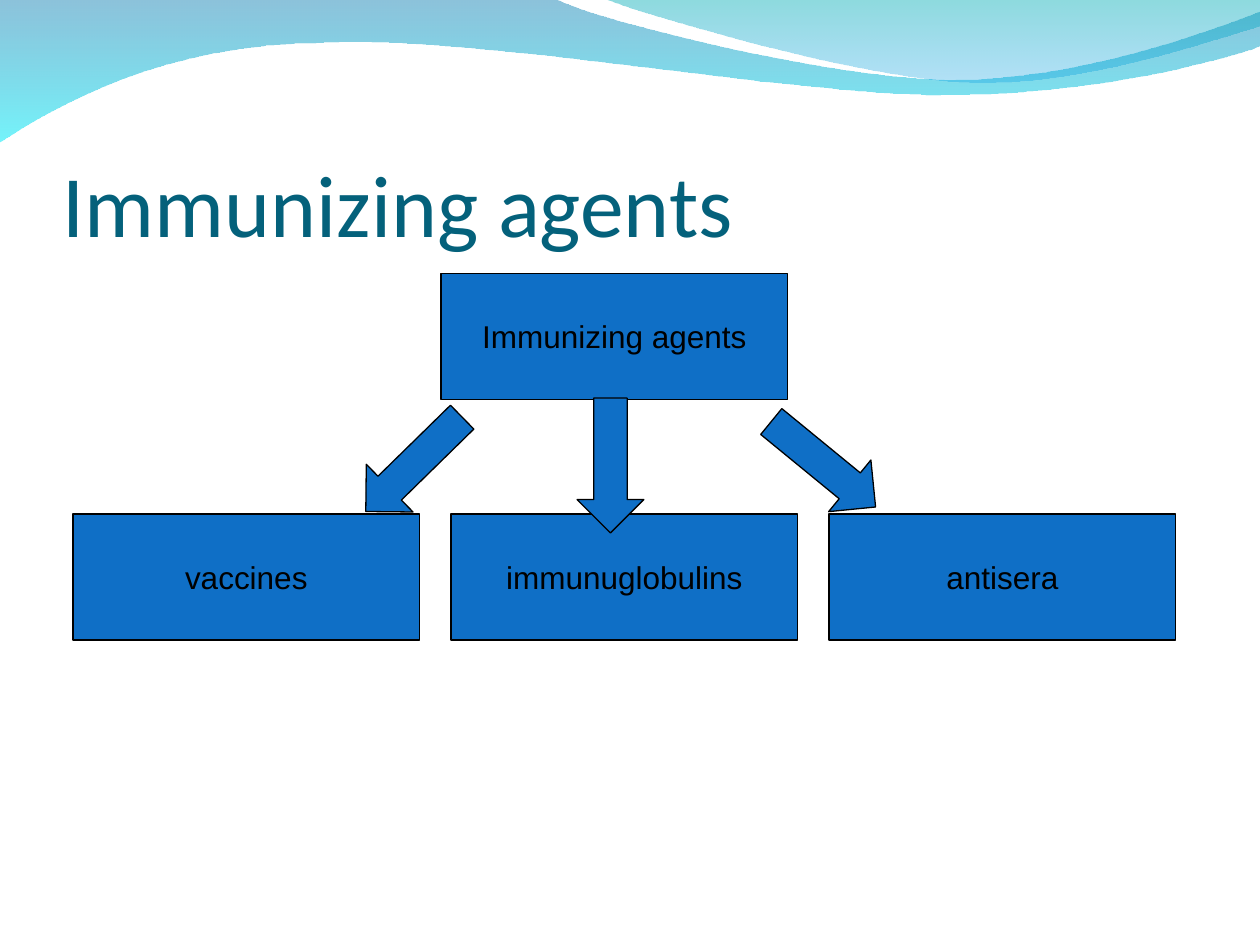
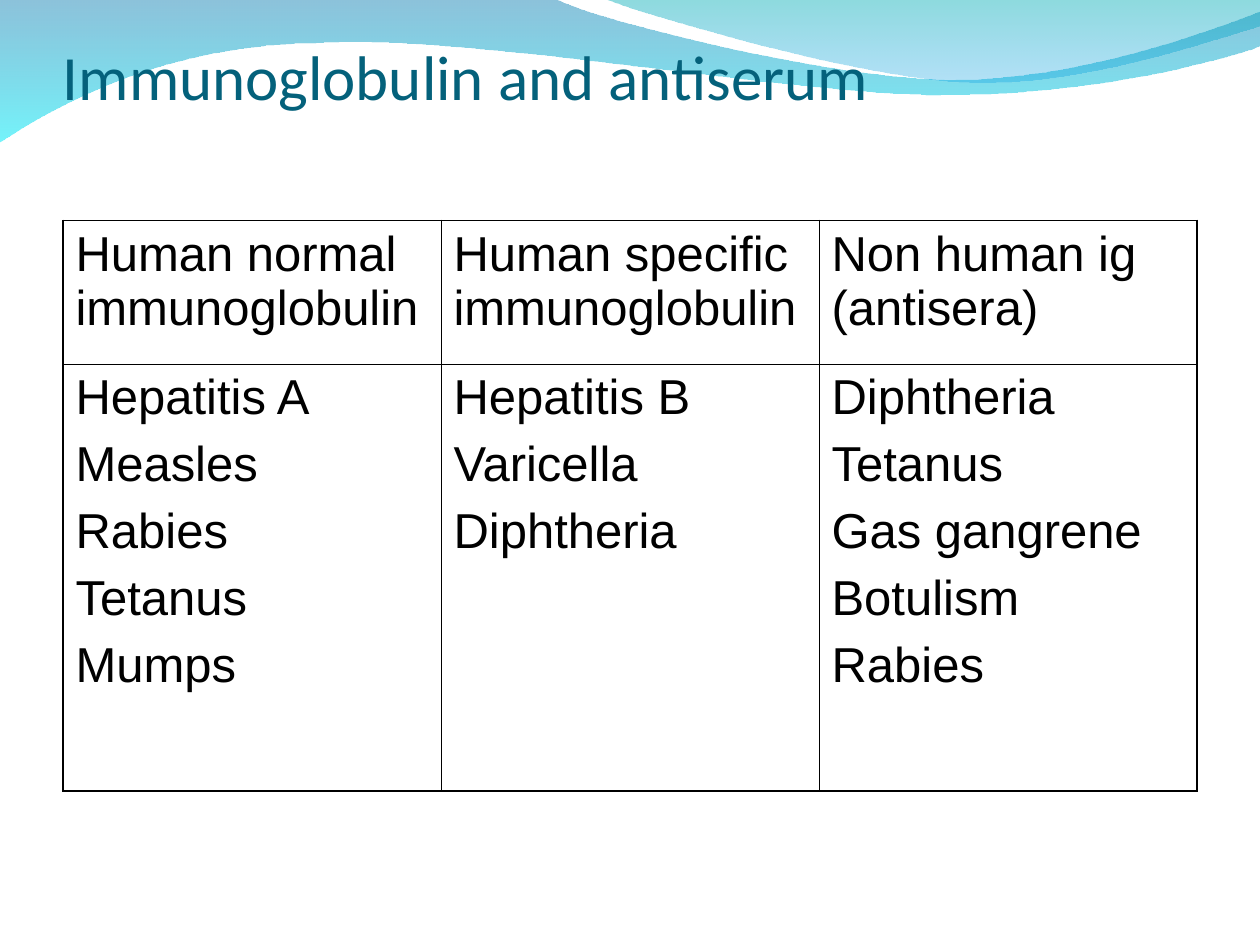
from pptx import Presentation
from pptx import util as u
from pptx.dml import color as dc
from pptx.enum import shapes, text
from pptx.oxml import ns, parse_xml

INK, TEAL, BLUE = "000000", "04617B", "0F6FC6"

# Each wave: start, then segments (2 numbers: line, 6: curve), then stops (colour, opacity)
# Points are in hundredths of an inch
WAVES = [
    ((0, -1),
     [(440, -1), (476, 17, 664, 63, 758, 63), (853, 63, 958, 26, 1000, 9),
      (1001, 36), (983, 44, 870, 76, 746, 75), (622, 75, 382, 28, 257, 34),
      (129, 35, 46, 83, -1, 113)],
     [("0079AF", 45), ("00EBF8", 55)]),
    ((479, -1),
     [(509, 11, 682, 62, 769, 65), (856, 69, 961, 32, 1000, 21), (1000, 0)],
     [("00ADB6", 45), ("009BE5", 30)]),
]


def rgb(code):
    return dc.RGBColor.from_string(code)


def style(par, name, size, code):
    par.font.name, par.font.size = name, u.Pt(size)
    par.font.color.rgb = rgb(code)


prs = Presentation()
prs.slide_width, prs.slide_height = u.Inches(10), u.Inches(7.5)

# Shared waves and titles
heads = [
    ("Immunizing agents", 0.77, 50, text.MSO_ANCHOR.BOTTOM),
    ("Immunoglobulin and antiserum", 0.25, 36, text.MSO_ANCHOR.TOP),
]
pages = []
for title, top, size, anchor in heads:
    page = prs.slides.add_slide(prs.slide_layouts[6])
    pages.append(page)
    for start, parts, stops in WAVES:
        form = page.shapes.build_freeform(*start, scale=u.Inches(0.01))
        for part in parts:
            form.add_line_segments(list(zip(part[::2], part[1::2])), close=False)
        form.add_line_segments([], close=True)
        wave = form.convert_to_shape()

        # Join the three points of each curve into one bezier
        lines = iter(list(wave.element.iter(ns.qn("a:lnTo"))))
        for part in parts:
            first = next(lines)
            if len(part) == 6:
                curve = parse_xml(f'<a:cubicBezTo {ns.nsdecls("a")}/>')
                first.addprevious(curve)
                for line in (first, next(lines), next(lines)):
                    curve.append(line[0])
                    line.getparent().remove(line)

        wave.shadow.inherit = False
        wave.line.fill.background()
        wave.fill.gradient()
        wave.fill.gradient_angle = 270
        for stop, (code, _) in zip(wave.fill.gradient_stops, stops):
            stop.color.rgb = rgb(code)
        for tint, (_, alpha) in zip(wave.element.iter(ns.qn("a:srgbClr")), stops):
            tint.append(parse_xml(f'<a:alpha {ns.nsdecls("a")} val="{alpha * 1000}"/>'))

    box = page.shapes.add_textbox(u.Inches(0.5), u.Inches(top), u.Inches(9), u.Inches(1.25))
    frame = box.text_frame
    frame.word_wrap = True
    frame.vertical_anchor = anchor
    frame.margin_left = frame.margin_right = frame.margin_bottom = 0
    frame.margin_top = u.Inches(0.05)
    frame.text = title
    style(frame.paragraphs[0], "Calibri", size, TEAL)

# Slide 1: tree of agents, boxes then arrows
chart, sheet = pages
rect, arrow = shapes.MSO_SHAPE.RECTANGLE, shapes.MSO_SHAPE.RIGHT_ARROW
nodes = [
    (rect, 3.5, 2.17, 2.75, 1, 0, "Immunizing agents"),
    (rect, 6.58, 4.08, 2.75, 1, 0, "antisera"),
    (rect, 3.58, 4.08, 2.75, 1, 0, "immunuglobulins"),
    (rect, 0.58, 4.08, 2.75, 1, 0, "vaccines"),
    (arrow, 4.31, 3.43, 1.07, 0.53, 90, ""),
    (arrow, 6, 3.42, 1.07, 0.53, 39.3, ""),
    (arrow, 2.75, 3.42, 1.07, 0.53, 135.6, ""),
]
for kind, left, top, wide, high, turn, label in nodes:
    node = chart.shapes.add_shape(kind, *map(u.Inches, (left, top, wide, high)))
    node.shadow.inherit = False
    node.rotation = turn
    node.fill.solid()
    node.fill.fore_color.rgb = rgb(BLUE)
    node.line.color.rgb = rgb(INK)
    node.line.width = u.Pt(0.75)
    if label:
        frame = node.text_frame
        frame.word_wrap = False
        frame.vertical_anchor = text.MSO_ANCHOR.MIDDLE
        frame.text = label
        frame.paragraphs[0].alignment = text.PP_ALIGN.CENTER
        style(frame.paragraphs[0], "Arial", 18, INK)

# Slide 2: table of sera
rows = [
    ["Human normal immunoglobulin", "Human specific immunoglobulin", "Non human ig (antisera)"],
    ["Hepatitis A\nMeasles\nRabies\nTetanus\nMumps",
     "Hepatitis B\nVaricella\nDiphtheria",
     "Diphtheria\nTetanus\nGas gangrene\nBotulism\nRabies"],
]
grid = sheet.shapes.add_table(2, 3, u.Inches(0.5), u.Inches(1.75),
                              u.Inches(9), u.Inches(4.53)).table
grid.first_row = grid.horz_banding = False
for row, high in zip(grid.rows, (1.14, 3.39)):
    row.height = u.Inches(high)
for r, row in enumerate(rows):
    for c, words in enumerate(row):
        cell = grid.cell(r, c)
        cell.fill.background()
        cell.text = words
        for n, par in enumerate(cell.text_frame.paragraphs):
            par.space_before = u.Pt(7 if n else 0)
            style(par, "Arial", 28, INK)
        # Outer borders are thicker than inner ones
        props = cell._tc.get_or_add_tcPr()
        outer = {"L": c == 0, "R": c == 2, "T": r == 0, "B": r == 1}
        for n, (side, edge) in enumerate(outer.items()):
            width = u.Pt(1.08 if edge else 0.45)
            props.insert(n, parse_xml(
                f'<a:ln{side} {ns.nsdecls("a")} w="{width}"><a:solidFill>'
                f'<a:srgbClr val="{INK}"/></a:solidFill></a:ln{side}>'))

prs.save("out.pptx")
